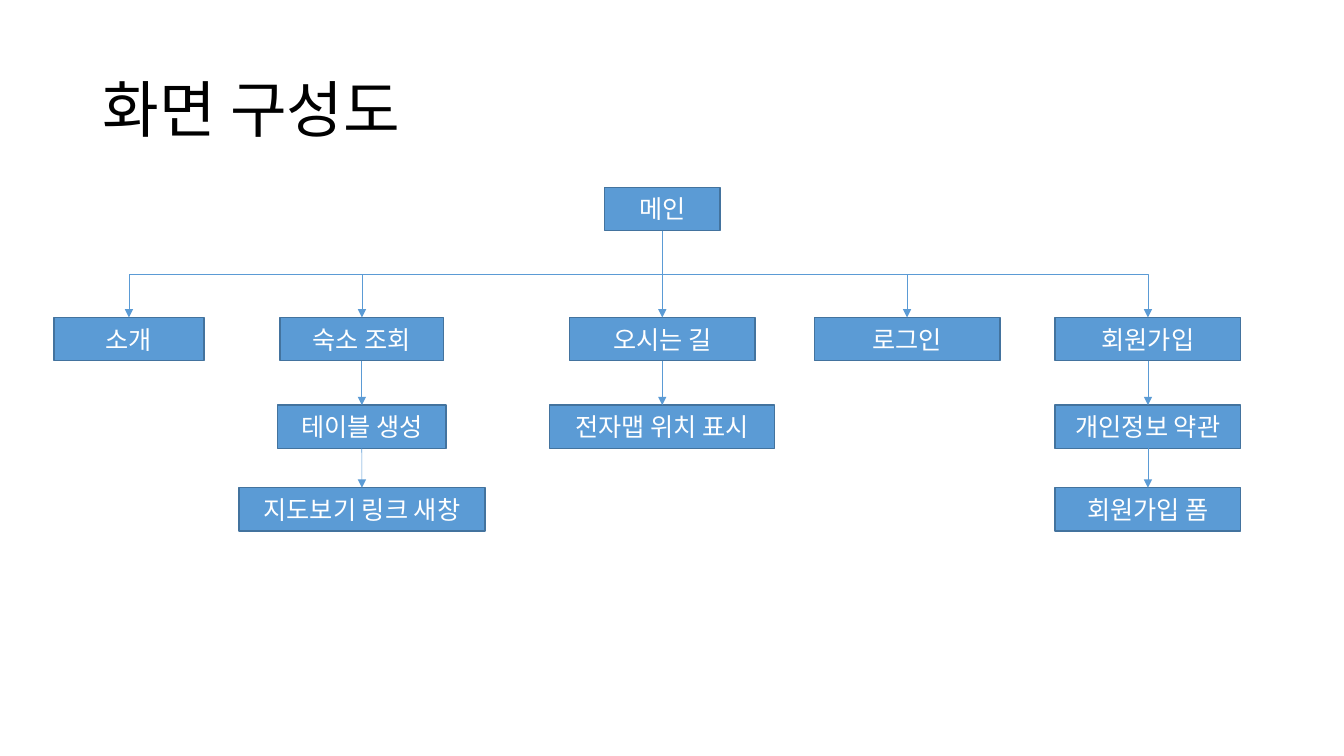
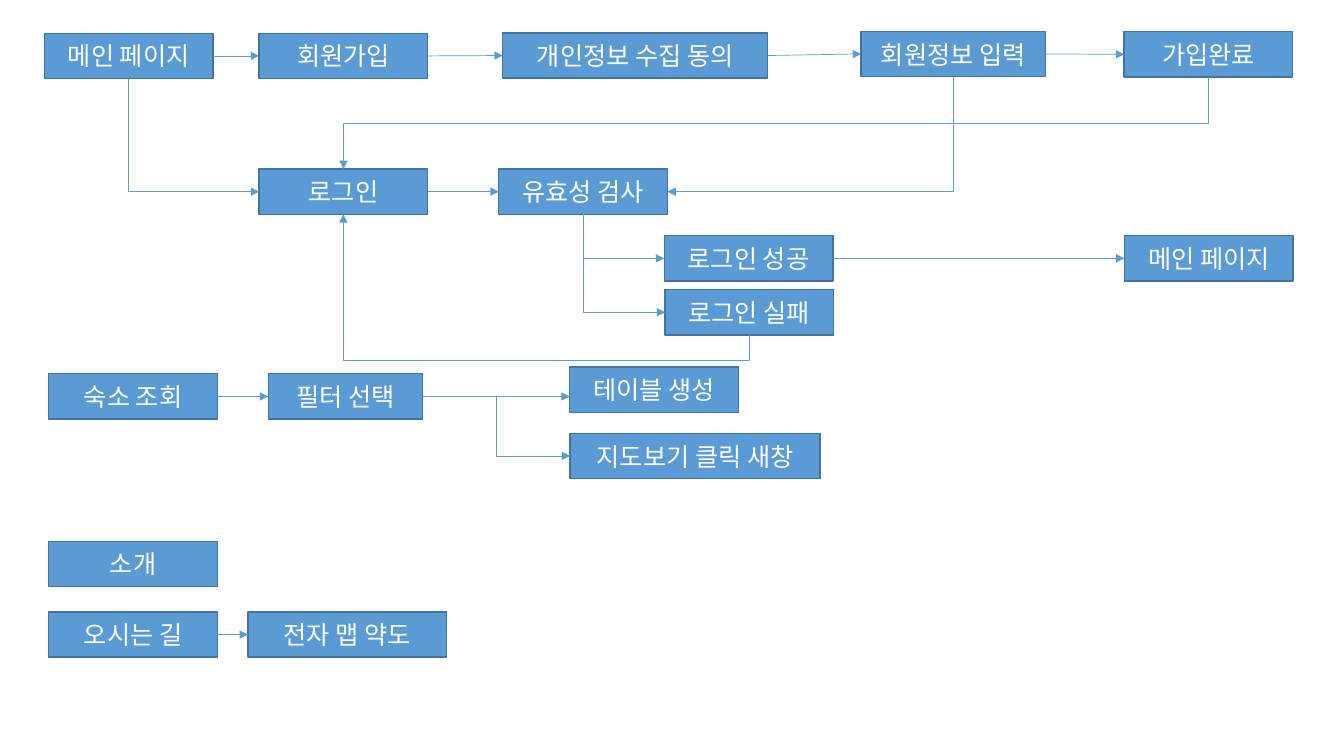
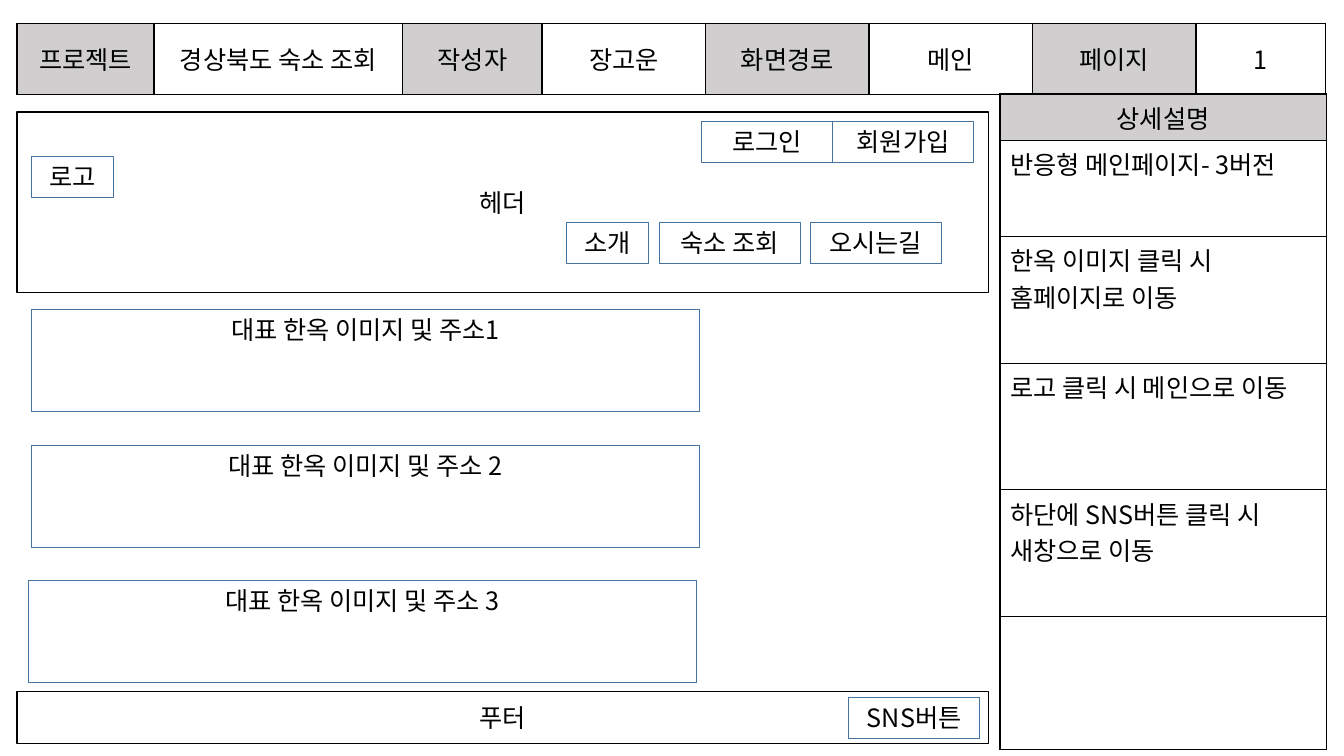
"""Builds a site map, a user flow and a main page wireframe as three slides."""
from itertools import pairwise

from lxml.etree import SubElement
from pptx import Presentation
from pptx.dml.color import RGBColor
from pptx.enum.shapes import MSO_CONNECTOR, MSO_SHAPE
from pptx.enum.text import MSO_ANCHOR, PP_ALIGN
from pptx.oxml.ns import qn
from pptx.util import Cm, Pt

FONT = "Noto Sans CJK KR"
BLUE, EDGE, BLACK, WHITE, GREY = "5B9BD5", "43739E", "000000", "FFFFFF", "D0CECE"
TITLE_ONLY, BLANK = 5, 6
TOP, LEFT, BOTTOM, RIGHT = range(4)

NODE = {"fill": BLUE, "line": EDGE, "weight": 1, "color": WHITE, "anchor": MSO_ANCHOR.MIDDLE}
FRAME = {"fill": WHITE, "line": BLACK, "weight": 1, "color": BLACK, "anchor": MSO_ANCHOR.MIDDLE}
WIDGET = {"fill": None, "line": EDGE, "weight": 0.75, "color": BLACK, "anchor": MSO_ANCHOR.TOP}

SITE_TITLE = "화면 구성도"
SITE_ROOT = ("메인", 16.69, 4.72, 2.92)
SITE_ROWS = [8, 10.21, 12.29]
SITE_HEIGHT = 1.09
SITE_COLUMNS = [
    (3.25, [("소개", 3.78)]),
    (9.12, [("숙소 조회", 4.12), ("테이블 생성", 4.25), ("지도보기 링크 새창", 6.2)]),
    (16.69, [("오시는 길", 4.68), ("전자맵 위치 표시", 5.67)]),
    (22.86, [("로그인", 4.68)]),
    (28.93, [("회원가입", 4.68), ("개인정보 약관", 4.68), ("회원가입 폼", 4.68)]),
]

FLOW_HEIGHT = 1.14
FLOW_BOXES = {
    "main": ("메인 페이지", 1.12, 0.84, 4.25),
    "join": ("회원가입", 6.53, 0.84, 4.25),
    "consent": ("개인정보 수집 동의", 12.67, 0.83, 6.68),
    "details": ("회원정보 입력", 21.7, 0.79, 4.65),
    "joined": ("가입완료", 28.33, 0.8, 4.25),
    "login": ("로그인", 6.53, 4.26, 4.25),
    "check": ("유효성 검사", 12.57, 4.26, 4.25),
    "success": ("로그인 성공", 16.74, 5.94, 4.25),
    "failure": ("로그인 실패", 16.76, 7.3, 4.25),
    "home": ("메인 페이지", 28.34, 5.94, 4.25),
    "search": ("숙소 조회", 1.23, 9.42, 4.25),
    "filter": ("필터 선택", 6.76, 9.42, 3.89),
    "table": ("테이블 생성", 14.36, 9.25, 4.25),
    "map": ("지도보기 클릭 새창", 14.37, 10.92, 6.3),
    "intro": ("소개", 1.23, 13.64, 4.25),
    "route": ("오시는 길", 1.23, 15.42, 4.25),
    "sketch": ("전자 맵 약도", 6.25, 15.42, 5),
}
FLOW_STRAIGHT = [
    ("main", "join"), ("join", "consent"), ("consent", "details"), ("details", "joined"),
    ("login", "check"), ("success", "home"), ("search", "filter"), ("route", "sketch"),
]
FLOW_BENT = [
    ("main", BOTTOM, "login", LEFT, None),
    ("details", BOTTOM, "check", RIGHT, None),
    ("check", BOTTOM, "success", LEFT, None),
    ("check", BOTTOM, "failure", LEFT, None),
    ("filter", RIGHT, "map", LEFT, None),
    ("joined", BOTTOM, "login", TOP, None),
    ("failure", BOTTOM, "login", BOTTOM, -20900),
]

INFO_ROW = [["프로젝트", "경상북도 숙소 조회", "작성자", "장고운", "화면경로", "메인", "페이지", "1"]]
INFO_WIDTHS = [3.45, 6.27, 3.51, 4.12, 4.12, 4.12, 4.12, 3.27]
NOTES = [
    ["상세설명"], ["반응형 메인페이지- 3버전"], ["한옥 이미지 클릭 시 홈페이지로 이동"],
    ["로고 클릭 시 메인으로 이동"], ["하단에 SNS버튼 클릭 시 새창으로 이동"], [""],
]
NOTE_HEIGHTS = [1.03, 2.42, 3.19, 3.19, 3.19, 3.36]
FRAMES = [("헤더", 0.43, 2.82, 24.49, 4.55), ("푸터", 0.43, 17.42, 24.49, 1.32)]
WIDGETS = [
    ("로고", 0.79, 3.94, 2.08, 1.03),
    ("로그인", 17.68, 3.07, 3.3, 1.03),
    ("회원가입", 20.98, 3.07, 3.56, 1.03),
    ("소개", 14.27, 5.61, 2.08, 1.03),
    ("숙소 조회", 16.61, 5.61, 3.56, 1.03),
    ("오시는길", 20.42, 5.61, 3.3, 1.03),
    ("대표 한옥 이미지 및 주소1", 0.79, 7.8, 16.84, 2.57),
    ("대표 한옥 이미지 및 주소 2", 0.79, 11.23, 16.84, 2.57),
    ("대표 한옥 이미지 및 주소 3", 0.71, 14.63, 16.84, 2.57),
    ("SNS버튼", 21.39, 17.58, 3.3, 1.03),
]


def rgb(value):
    return RGBColor.from_string(value)


def write(frame, text, color=BLACK, size=18, align=PP_ALIGN.CENTER, spacing=None):
    para = frame.paragraphs[0]
    for name, value in {"alignment": align, "line_spacing": spacing}.items():
        setattr(para, name, value)
    span = para.add_run()
    span.text = text
    for name, value in {"name": FONT, "size": Pt(size), "bold": False}.items():
        setattr(span.font, name, value)
    span.font.color.rgb = rgb(color)
    SubElement(span.font._element, qn("a:ea"), typeface=FONT)


def add_box(page, text, left, top, width, height, style):
    box = page.shapes.add_shape(MSO_SHAPE.RECTANGLE, Cm(left), Cm(top), Cm(width), Cm(height))
    box.shadow.inherit = False
    if style["fill"]:
        box.fill.solid()
        box.fill.fore_color.rgb = rgb(style["fill"])
    else:
        box.fill.background()
    box.line.color.rgb = rgb(style["line"])
    box.line.width = Pt(style["weight"])
    box.text_frame.word_wrap = True
    box.text_frame.vertical_anchor = style["anchor"]
    write(box.text_frame, text, style["color"])
    return box


def turn_elbow(line):
    """Rotate an elbow about its centre so that it leaves vertically."""
    run, drop = line.end_x - line.begin_x, line.end_y - line.begin_y
    middle_x, middle_y = line.begin_x + run // 2, line.begin_y + drop // 2
    turn = 1 if run <= 0 else -1
    shift_x, shift_y = turn * drop // 2, turn * run // 2
    ends = {
        "begin_x": middle_x - shift_x, "begin_y": middle_y + shift_y,
        "end_x": middle_x + shift_x, "end_y": middle_y - shift_y,
    }
    for name, value in ends.items():
        setattr(line, name, value)
    line.rotation = 90 if turn == 1 else 270


def connect(page, start, start_side, end, end_side, bent=False, bend=None, level=False):
    kind = MSO_CONNECTOR.ELBOW if bent else MSO_CONNECTOR.STRAIGHT
    line = page.shapes.add_connector(kind, 0, 0, 0, 0)
    line.begin_connect(start, start_side)
    if level:
        line.end_x, line.end_y = end.left, line.begin_y
    else:
        line.end_connect(end, end_side)
    line.line.color.rgb = rgb(BLUE)
    line.line.width = Pt(0.5)
    properties = line._element.spPr
    SubElement(properties.find(qn("a:ln")), qn("a:tailEnd"), type="triangle")
    SubElement(properties, qn("a:effectLst"))
    geometry = properties.find(qn("a:prstGeom"))
    if bent and start_side == BOTTOM:
        turn_elbow(line)
        if end_side in (LEFT, RIGHT):
            geometry.set("prst", "bentConnector2")
    if bend is not None:
        guides = geometry.find(qn("a:avLst"))
        if guides is None:
            guides = SubElement(geometry, qn("a:avLst"))
        SubElement(guides, qn("a:gd"), name="adj1", fmla=f"val {bend}")


def border(cell):
    properties = cell._tc.get_or_add_tcPr()
    for index, side in enumerate(("a:lnL", "a:lnR", "a:lnT", "a:lnB")):
        edge = SubElement(properties, qn(side), w=str(Pt(1)))
        SubElement(SubElement(edge, qn("a:solidFill")), qn("a:srgbClr"), val=BLACK)
        properties.remove(edge)
        properties.insert(index, edge)


def add_grid(page, rows, left, top, widths, heights, is_head, anchor, body_align):
    table = page.shapes.add_table(
        len(rows), len(widths), Cm(left), Cm(top), Cm(sum(widths)), Cm(sum(heights))).table
    table.first_row = table.horz_banding = False
    for column, width in zip(table.columns, widths):
        column.width = Cm(width)
    for r, (texts, height) in enumerate(zip(rows, heights)):
        table.rows[r].height = Cm(height)
        for c, text in enumerate(texts):
            cell = table.cell(r, c)
            head = is_head(r, c)
            cell.fill.solid()
            cell.fill.fore_color.rgb = rgb(GREY if head else WHITE)
            cell.vertical_anchor = anchor
            border(cell)
            if text:
                write(cell.text_frame, text, align=PP_ALIGN.CENTER if head else body_align)


def site_map(deck):
    page = deck.slides.add_slide(deck.slide_layouts[TITLE_ONLY])
    title = page.shapes.title
    place = {"left": 2.34, "top": 0.99, "width": 29.21, "height": 3.68}
    for name, value in place.items():
        setattr(title, name, Cm(value))
    title.text_frame.vertical_anchor = MSO_ANCHOR.MIDDLE
    write(title.text_frame, SITE_TITLE, size=44, align=PP_ALIGN.LEFT, spacing=0.9)

    def node(text, center, top, width):
        return add_box(page, text, center - width / 2, top, width, SITE_HEIGHT, NODE)

    root = node(*SITE_ROOT)
    for center, items in SITE_COLUMNS:
        boxes = [node(text, center, top, width) for (text, width), top in zip(items, SITE_ROWS)]
        connect(page, root, BOTTOM, boxes[0], TOP, bent=center != SITE_ROOT[1])
        for upper, lower in pairwise(boxes):
            connect(page, upper, BOTTOM, lower, TOP)


def user_flow(deck):
    page = deck.slides.add_slide(deck.slide_layouts[BLANK])
    boxes = {name: add_box(page, *place, FLOW_HEIGHT, NODE) for name, place in FLOW_BOXES.items()}
    for start, end in FLOW_STRAIGHT:
        connect(page, boxes[start], RIGHT, boxes[end], LEFT)
    connect(page, boxes["filter"], RIGHT, boxes["table"], LEFT, level=True)
    for start, start_side, end, end_side, bend in FLOW_BENT:
        connect(page, boxes[start], start_side, boxes[end], end_side, True, bend)


def wireframe(deck):
    page = deck.slides.add_slide(deck.slide_layouts[BLANK])
    for style, items in ((FRAME, FRAMES), (WIDGET, WIDGETS)):
        for item in items:
            add_box(page, *item, style)
    add_grid(page, INFO_ROW, 0.43, 0.59, INFO_WIDTHS, [1.79],
             lambda r, c: c % 2 == 0, MSO_ANCHOR.MIDDLE, PP_ALIGN.CENTER)
    add_grid(page, NOTES, 25.2, 2.37, [8.22], NOTE_HEIGHTS,
             lambda r, c: r == 0, MSO_ANCHOR.TOP, PP_ALIGN.LEFT)


def main():
    deck = Presentation()
    deck.slide_width, deck.slide_height = Cm(33.87), Cm(19.05)
    for build in (site_map, user_flow, wireframe):
        build(deck)
    deck.save("out.pptx")


if __name__ == "__main__":
    main()
